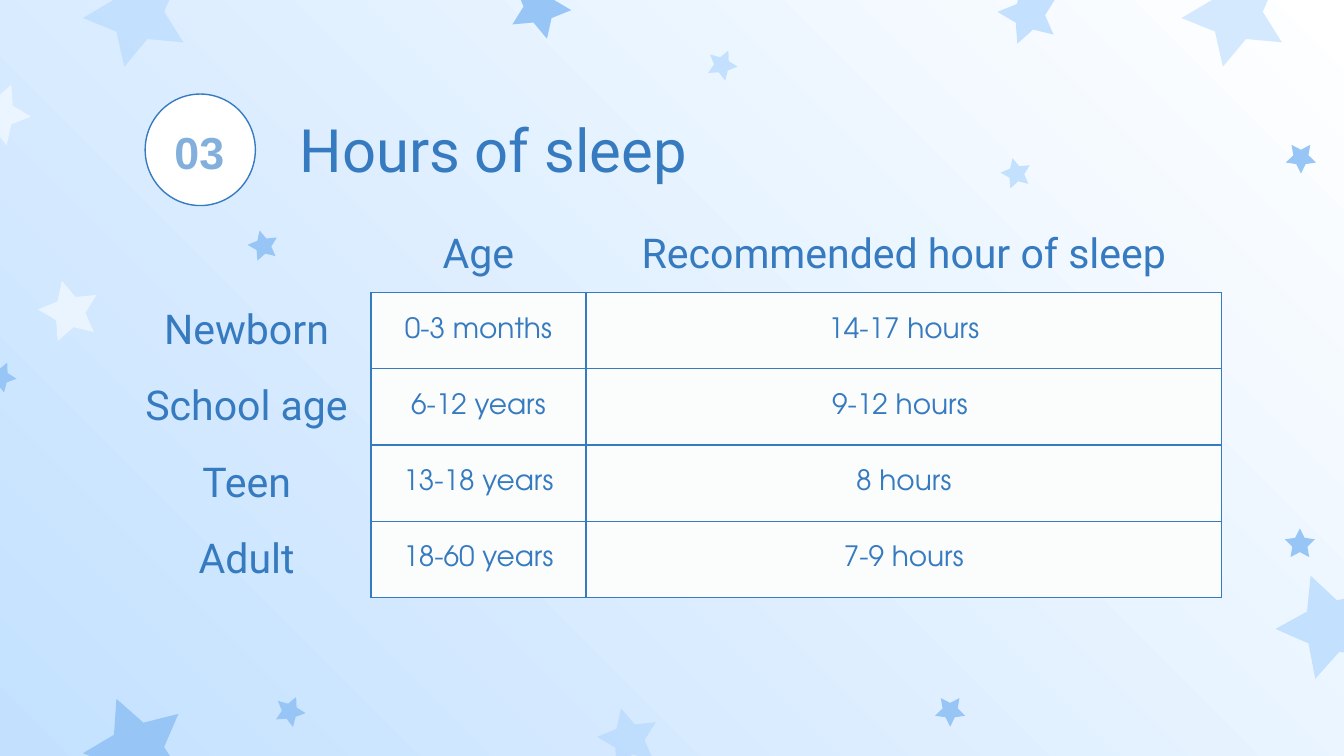
from dataclasses import dataclass
from math import cos, radians, sin

from lxml import etree
from pptx import Presentation
from pptx.dml.color import RGBColor
from pptx.enum.shapes import MSO_SHAPE
from pptx.enum.text import MSO_ANCHOR, PP_ALIGN
from pptx.oxml.ns import qn
from pptx.util import Inches, Pt

OVAL = MSO_SHAPE.OVAL
TOP, MIDDLE = MSO_ANCHOR.TOP, MSO_ANCHOR.MIDDLE
LEFT, CENTER = PP_ALIGN.LEFT, PP_ALIGN.CENTER
BLANK_LAYOUT = 6
NO_TABLE_STYLE = "{2D5ABB26-0587-4C30-8999-92F81FD0307C}"

# A 16:9 slide; lengths on it are in hundredths of its width
WIDTH = Inches(10)
HEIGHT = WIDTH * 9 // 16
UNIT = WIDTH / 100


@dataclass(frozen=True)
class Theme:
    ink: str = "367AC0"
    number: str = "83AFDC"
    white: str = "FFFFFF"
    cell: str = "FBFCFC"
    sky: str = "C3E1FF"
    star: str = "96C5F6"
    haze: str = "A6D1FE"
    heading_font: str = "Roboto"
    body_font: str = "TeX Gyre Adventor"
    number_font: str = "Arial"
    title_size: int = 32
    number_size: int = 24
    heading_size: int = 22
    body_size: int = 15
    line: float = 0.75


THEME = Theme()

# Star radii, and colours as (colour, opacity in percent)
SMALL, MEDIUM, LARGE = 1.18, 2.37, 4.04
INNER_RATIO = 0.5
BRIGHT, PALE = (THEME.star, 100), (THEME.sky, 100)
HAZY, GHOST = (THEME.haze, 46), (THEME.white, 53)

# Centre x, centre y, radius, clockwise turn, colour
STARS = [
    (91.94, 1.04, LARGE, -22.4, HAZY),
    (96.8, 11.74, SMALL, 36, BRIGHT),
    (46.78, 55, MEDIUM, -14, HAZY),
    (40.14, 0.58, MEDIUM, 22.4, BRIGHT),
    (-0.06, 8.5, MEDIUM, 22.4, GHOST),
    (10.2, 1.04, LARGE, -22.4, HAZY),
    (0.06, 28.06, SMALL, 24, BRIGHT),
    (98.94, 46.62, LARGE, -20.6, PALE),
    (70.7, 52.9, SMALL, 36, BRIGHT),
    (96.72, 40.5, SMALL, 0, BRIGHT),
    (10.2, 55.74, LARGE, -22.4, BRIGHT),
    (76.58, 1.06, MEDIUM, -14, PALE),
    (21.56, 52.94, SMALL, 24, BRIGHT),
    (5.18, 23.2, MEDIUM, -14, GHOST),
    (53.72, 4.84, SMALL, 24, PALE),
    (75.62, 12.92, SMALL, -14, PALE),
    (19.6, 18.3, SMALL, -14, BRIGHT),
]

SLEEP_ROWS = [
    ("", "Age", "Recommended hour of sleep"),
    ("Newborn", "0-3 months", "14-17 hours"),
    ("School age", "6-12 years", "9-12 hours "),
    ("Teen", "13-18 years", "8 hours"),
    ("Adult", "18-60 years", "7-9 hours"),
]
COLUMN_WIDTHS = (18.5, 16, 47.3)
ROW_HEIGHT = 5.63


def units(*lengths):
    return [round(length * UNIT) for length in lengths]


def write(frame, text, *, font, size, color=THEME.ink, bold=False, align=LEFT):
    paragraph = frame.paragraphs[0]
    paragraph.alignment = align
    run = paragraph.add_run()
    run.text = text
    run.font.name = font
    run.font.size = Pt(size)
    run.font.bold = bold
    run.font.color.rgb = RGBColor.from_string(color)


def add_label(slide, box, text, inset, **text_format):
    frame = slide.shapes.add_textbox(*units(*box)).text_frame
    frame.word_wrap = True
    frame.vertical_anchor = TOP
    frame.margin_top = frame.margin_bottom = Inches(inset)
    write(frame, text, **text_format)


def paint_background(slide):
    fill = slide.background.fill
    fill.gradient()
    fill.gradient_angle = 45
    for stop, color in zip(fill.gradient_stops, (THEME.sky, THEME.white)):
        stop.color.rgb = RGBColor.from_string(color)


def add_star(slide, x, y, radius, turn, paint):
    color, opacity = paint
    tips = []
    for step in range(10):
        angle = radians(turn + 36 * step)
        reach = radius * (INNER_RATIO if step % 2 else 1)
        tips.append(units(x + reach * sin(angle), y - reach * cos(angle)))
    outline = slide.shapes.build_freeform(*tips[0])
    outline.add_line_segments(tips[1:], close=True)
    star = outline.convert_to_shape()
    star.shadow.inherit = False
    star.line.fill.background()
    star.fill.solid()
    star.fill.fore_color.rgb = RGBColor.from_string(color)
    if opacity < 100:
        tint = next(star._element.spPr.iter(qn("a:srgbClr")))
        etree.SubElement(tint, qn("a:alpha"), val=str(opacity * 1000))


def add_badge(slide):
    badge = slide.shapes.add_shape(OVAL, *units(10.8, 7, 8.2, 8.3))
    badge.shadow.inherit = False
    badge.fill.solid()
    badge.fill.fore_color.rgb = RGBColor.from_string(THEME.white)
    badge.line.color.rgb = RGBColor.from_string(THEME.ink)
    badge.line.width = Pt(THEME.line)


def draw_borders(cell, sides):
    properties = cell._tc.get_or_add_tcPr()
    for side in sides:
        border = etree.SubElement(properties, qn(f"a:ln{side}"), w=str(Pt(THEME.line)))
        solid = etree.SubElement(border, qn("a:solidFill"))
        etree.SubElement(solid, qn("a:srgbClr"), val=THEME.ink)


def add_sleep_table(slide):
    box = units(9.1, 16.1, sum(COLUMN_WIDTHS), ROW_HEIGHT * len(SLEEP_ROWS))
    graphic = slide.shapes.add_table(len(SLEEP_ROWS), len(COLUMN_WIDTHS), *box)
    table = graphic.table
    table.first_row = table.horz_banding = False
    table._tbl.tblPr.find(qn("a:tableStyleId")).text = NO_TABLE_STYLE
    for column, width in zip(table.columns, units(*COLUMN_WIDTHS)):
        column.width = width
    for r, entries in enumerate(SLEEP_ROWS):
        table.rows[r].height = units(ROW_HEIGHT)[0]
        for c, entry in enumerate(entries):
            cell = table.cell(r, c)
            cell.vertical_anchor = MIDDLE
            cell.margin_left = cell.margin_right = Inches(0.1)
            cell.margin_top = cell.margin_bottom = Inches(0.1)
            # Headings touch the framed body on one side only
            is_body = r > 0 and c > 0
            if is_body:
                draw_borders(cell, "LRTB")
                cell.fill.solid()
                cell.fill.fore_color.rgb = RGBColor.from_string(THEME.cell)
            else:
                draw_borders(cell, "R" if r else "B" if c else "")
                cell.fill.background()
            if entry:
                write(cell.text_frame, entry, align=CENTER,
                      font=THEME.body_font if is_body else THEME.heading_font,
                      size=THEME.body_size if is_body else THEME.heading_size)


def main():
    deck = Presentation()
    deck.slide_width, deck.slide_height = WIDTH, HEIGHT
    slide = deck.slides.add_slide(deck.slide_layouts[BLANK_LAYOUT])

    # Starry sky
    paint_background(slide)
    for star in STARS:
        add_star(slide, *star)

    # Numbered title
    add_label(slide, (21.3, 7.4, 84.4, 5.1), "Hours of sleep", 0.1,
              font=THEME.heading_font, size=THEME.title_size)
    add_badge(slide)
    add_label(slide, (12, 8.8, 20, 5), "03", 0.05, font=THEME.number_font,
              size=THEME.number_size, color=THEME.number, bold=True)

    # Sleep by age
    add_sleep_table(slide)
    deck.save("out.pptx")


if __name__ == "__main__":
    main()
